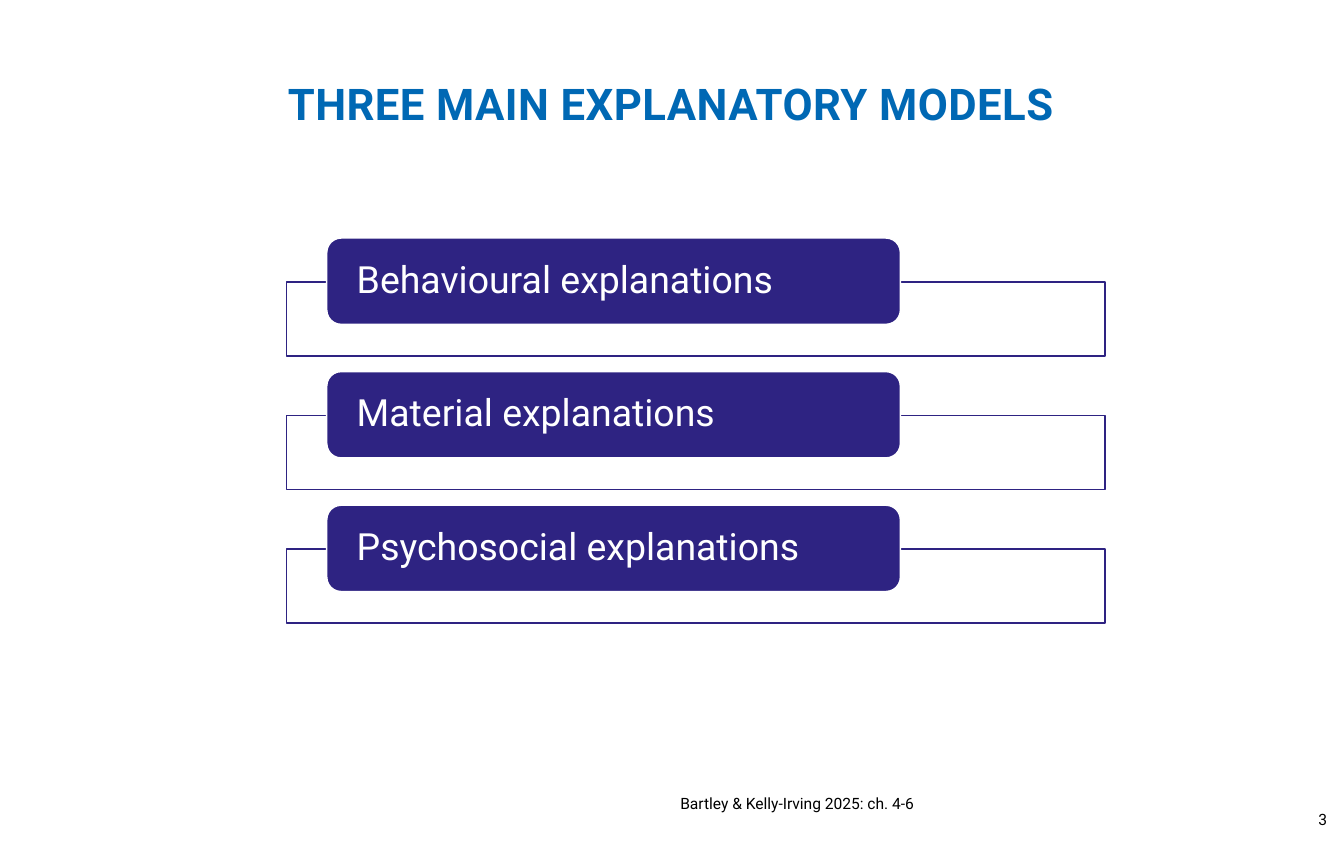
from pptx import Presentation
from pptx import util as u
from pptx.dml.color import RGBColor
from pptx.enum import shapes, text
from pptx.oxml.ns import qn
from lxml import etree

PX = 9144  # EMU per px, 100 px to the inch
NAVY, WHITE, BLACK, BLUE = "2E2382", "FFFFFF", "000000", "0068B4"

prs = Presentation()
prs.slide_width, prs.slide_height = 1197 * PX, 750 * PX
s = prs.slides.add_slide(prs.slide_layouts[6])


def put_text(words, box, sp=None, size=10, color=BLACK, bold=False, align="LEFT",
             anchor="BOTTOM", inset=(0, 0, 0, 0), leading=1.0, spacing=None):
    sp = sp or s.shapes.add_textbox(*(v * PX for v in box))
    tf = sp.text_frame
    tf.word_wrap = True
    tf.vertical_anchor = text.MSO_ANCHOR[anchor]
    tf.margin_left, tf.margin_top, tf.margin_right, tf.margin_bottom = (v * PX for v in inset)
    p = tf.paragraphs[0]
    p.alignment = text.PP_ALIGN[align]
    p.line_spacing = leading
    r = p.add_run()
    r.text = words
    r.font.name, r.font.size, r.font.bold = "Roboto", u.Pt(size), bold
    r.font.color.rgb = RGBColor.from_string(color)
    if spacing:
        r._r.get_or_add_rPr().set("spc", str(spacing))


def add_box(kind, box, fill, line):
    sp = s.shapes.add_shape(shapes.MSO_SHAPE[kind], *(v * PX for v in box))
    sp.shadow.inherit = False
    sp.fill.solid()
    sp.fill.fore_color.rgb = RGBColor.from_string(fill)
    sp.line.color.rgb = RGBColor.from_string(line)
    sp.line.width = u.Pt(1)
    return sp


# Title
put_text("THREE MAIN EXPLANATORY MODELS", (55, 72, 1085, 41), size=28, color=BLUE,
         bold=True, align="CENTER", anchor="TOP", leading=0.95, spacing=30)

# Models: an outlined frame with a label over its top edge
models = ["Behavioural explanations", "Material explanations", "Psychosocial explanations"]
for i, model in enumerate(models):
    top = 212 + 119 * i
    frame = add_box("RECTANGLE", (255, top + 39, 729, 66), WHITE, NAVY)
    frame_color = frame.fill._xPr.find(qn("a:solidFill"))[0]
    etree.SubElement(frame_color, qn("a:alpha")).set("val", "90000")
    label = (291, top, 511, 77)
    put_text(model, label, sp=add_box("ROUNDED_RECTANGLE", label, NAVY, WHITE), size=24,
             color=WHITE, anchor="MIDDLE", inset=(23, 0, 23, 0), leading=0.9)

# Source and slide number
put_text("Bartley & Kelly-Irving 2025: ch. 4-6", (606, 702, 457, 24), inset=(0, 0, 0, 2))
put_text("3", (1103, 714, 79, 24), align="RIGHT")

prs.save("out.pptx")
